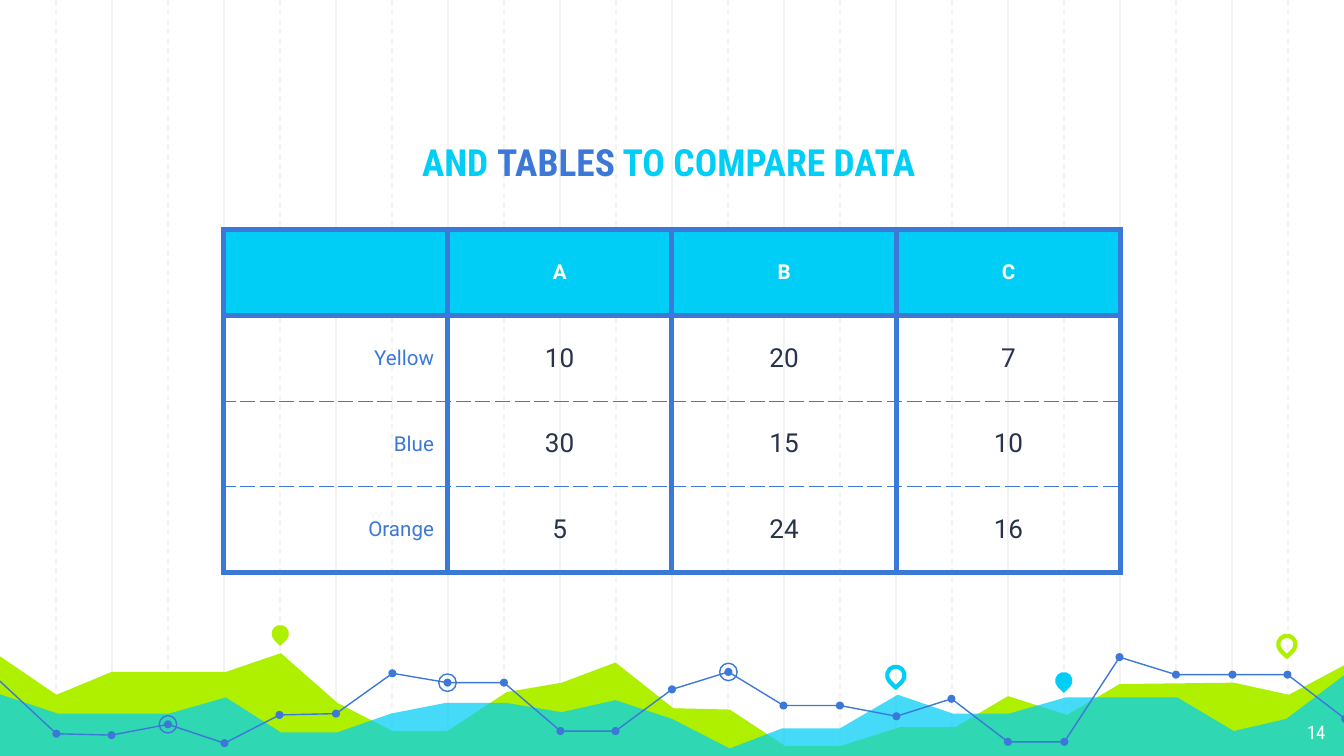
from typing import NamedTuple, Optional

from pptx import Presentation
from pptx import util as u
from pptx.dml.color import RGBColor
from pptx.enum import dml, shapes, text
from pptx.oxml import ns, xmlchemy

CYAN, BLUE, LIME = "00CEF6", "3C78D8", "AFF000"
WHITE, NAVY, GRAY = "FFFFFF", "28324A", "F3F3F3"
CENTER, RIGHT = text.PP_ALIGN.CENTER, text.PP_ALIGN.RIGHT

Point = tuple[float, float]


class Span(NamedTuple):
    wording: str
    color: str


class Style(NamedTuple):
    font: str
    size: float
    bold: bool = False


class Area(NamedTuple):
    points: list[Point]
    color: str
    opacity: Optional[int] = None


class Pin(NamedTuple):
    left: float
    top: float
    color: str
    hollow: bool


LIME_AREA = Area([
    (-0.02, 4.87), (0.42, 5.17), (0.83, 5), (1.68, 5), (2.09, 4.86), (2.51, 5.23),
    (2.92, 5.44), (3.33, 5.44), (3.77, 5.15), (4.18, 5.08), (4.58, 4.93), (5.01, 5.27),
    (5.43, 5.28), (5.84, 5.55), (6.26, 5.55), (6.7, 5.41), (7.11, 5.41), (7.5, 5.18),
    (7.94, 5.32), (8.33, 5.09), (9.18, 5.08), (9.59, 5.17), (10.02, 4.94),
    (10.01, 5.64), (-0.03, 5.64)], LIME)
CYAN_AREA = Area([
    (-0.02, 5.16), (0.43, 5.31), (1.26, 5.31), (1.68, 5.19), (2.09, 5.45), (2.51, 5.45),
    (2.91, 5.31), (3.32, 5.23), (3.76, 5.23), (4.18, 5.3), (4.58, 5.21), (5, 5.35),
    (5.43, 5.57), (5.82, 5.42), (6.25, 5.42), (6.68, 5.17), (7.09, 5.31), (7.51, 5.31),
    (7.93, 5.19), (8.76, 5.19), (9.18, 5.44), (9.57, 5.35), (10.02, 5.01),
    (10.02, 5.65), (-0.03, 5.65)], CYAN, 73)
TREND = [
    (-0.01, 5.06), (0.42, 5.46), (0.83, 5.47), (1.25, 5.39), (1.67, 5.53), (2.08, 5.32),
    (2.5, 5.31), (2.92, 5.01), (3.33, 5.08), (3.75, 5.08), (4.17, 5.44), (4.58, 5.44),
    (5, 5.13), (5.42, 5), (5.83, 5.25), (6.25, 5.25), (6.67, 5.33), (7.08, 5.2),
    (7.5, 5.52), (7.92, 5.52), (8.33, 4.89), (8.75, 5.02), (9.17, 5.02), (9.58, 5.02),
    (10.01, 5.35)]
TREND_BREAKS = [0, 11, 20, 24]
HIGHLIGHTS = [3, 8, 13]
PINS = [Pin(2.02, 4.65, LIME, False), Pin(6.6, 4.96, CYAN, True),
        Pin(7.85, 5, CYAN, False), Pin(9.51, 4.73, LIME, True)]
ROWS = [["", "A", "B", "C"], ["Yellow", "10", "20", "7"],
        ["Blue", "30", "15", "10"], ["Orange", "5", "24", "16"]]


def rgb(color: str) -> RGBColor:
    return RGBColor.from_string(color)


def paint(shape, fill: Optional[str] = None, line: Optional[str] = None,
          width: float = 0.75) -> None:
    shape.shadow.inherit = False
    if fill:
        shape.fill.solid()
        shape.fill.fore_color.rgb = rgb(fill)
    else:
        shape.fill.background()
    if line:
        shape.line.color.rgb = rgb(line)
        shape.line.width = u.Pt(width)
    else:
        shape.line.fill.background()


def add_grid_line(page, x: float, dashed: bool) -> None:
    line = page.shapes.add_connector(shapes.MSO_CONNECTOR.STRAIGHT, u.Inches(x), 0,
                                     u.Inches(x), u.Inches(5.65))
    line.line.color.rgb = rgb(GRAY)
    line.line.width = u.Pt(0.75)
    if dashed:
        line.line.dash_style = dml.MSO_LINE.DASH
    line._element.spPr.append(xmlchemy.OxmlElement("a:effectLst"))


def add_outline(page, points: list[Point], close: bool):
    corners = [(u.Inches(x), u.Inches(y)) for x, y in points]
    builder = page.shapes.build_freeform(*corners[0])
    builder.add_line_segments(corners[1:], close=close)
    return builder.convert_to_shape()


def add_area(page, area: Area) -> None:
    shape = add_outline(page, area.points, True)
    paint(shape, fill=area.color)
    if area.opacity:
        alpha = xmlchemy.OxmlElement("a:alpha")
        alpha.set("val", str(area.opacity * 1000))
        shape._element.spPr.find(".//" + ns.qn("a:srgbClr")).append(alpha)


def add_circle(page, center: Point, size: float, fill: Optional[str] = None,
               line: Optional[str] = None) -> None:
    x, y = center
    circle = page.shapes.add_shape(shapes.MSO_SHAPE.OVAL, u.Inches(x - size / 2),
                                   u.Inches(y - size / 2), u.Inches(size), u.Inches(size))
    paint(circle, fill, line)


def add_pin(page, pin: Pin) -> None:
    shape = page.shapes.add_shape(shapes.MSO_SHAPE.TEAR, u.Inches(pin.left),
                                  u.Inches(pin.top), u.Inches(0.13), u.Inches(0.13))
    shape.rotation = 135
    if pin.hollow:
        paint(shape, line=pin.color, width=2.25)
    else:
        paint(shape, fill=pin.color)


def write(para, spans: list[Span], style: Style, align) -> None:
    para.alignment = align
    for part in spans:
        span = para.add_run()
        span.text = part.wording
        span.font.name, span.font.size = style.font, u.Pt(style.size)
        span.font.bold = style.bold
        span.font.color.rgb = rgb(part.color)


def add_text(page, place: tuple[float, float, float, float], spans: list[Span],
             style: Style, align, anchor) -> None:
    box = page.shapes.add_textbox(*(u.Inches(length) for length in place))
    frame = box.text_frame
    frame.word_wrap = True
    frame.vertical_anchor = anchor
    frame.margin_left = frame.margin_right = u.Inches(0.1)
    frame.margin_top = frame.margin_bottom = u.Inches(0.1)
    write(frame.paragraphs[0], spans, style, align)


def set_border(cell, side: str, dashed: bool) -> None:
    border = xmlchemy.OxmlElement(f"a:ln{side}")
    border.set("w", str(u.Pt(0.75 if dashed else 3)))
    border.set("cap", "flat")
    border.set("cmpd", "sng")
    fill = xmlchemy.OxmlElement("a:solidFill")
    color = xmlchemy.OxmlElement("a:srgbClr")
    color.set("val", BLUE)
    fill.append(color)
    dash = xmlchemy.OxmlElement("a:prstDash")
    dash.set("val", "dash" if dashed else "solid")
    border.extend([fill, dash, xmlchemy.OxmlElement("a:round")])
    cell._tc.get_or_add_tcPr().append(border)


def fill_cell(cell, wording: str, row: int, column: int) -> None:
    cell.vertical_anchor = text.MSO_ANCHOR.MIDDLE
    cell.margin_left = cell.margin_right = u.Inches(0.1)
    cell.margin_top = cell.margin_bottom = u.Inches(0.07)
    for side in "LRTB":
        set_border(cell, side, (side == "T" and row > 1) or (side == "B" and row in (1, 2)))
    if row == 0:
        cell.fill.solid()
        cell.fill.fore_color.rgb = rgb(CYAN)
        color, style, align = WHITE, Style("Roboto", 11, True), CENTER
    else:
        cell.fill.background()
        if column == 0:
            color, style, align = BLUE, Style("Roboto", 11), RIGHT
        else:
            color, style, align = NAVY, Style("Roboto", 14), CENTER
    if wording:
        write(cell.text_frame.paragraphs[0], [Span(wording, color)], style, align)


def add_data_table(page) -> None:
    table = page.shapes.add_table(4, 4, u.Inches(1.66), u.Inches(1.71),
                                  u.Inches(6.68), u.Inches(2.55)).table
    table.first_row = table.horz_banding = False
    for row, wordings in enumerate(ROWS):
        for column, wording in enumerate(wordings):
            fill_cell(table.cell(row, column), wording, row, column)


def main() -> None:
    deck = Presentation()
    # Widescreen format, 16 to 9
    deck.slide_width = u.Inches(10)
    deck.slide_height = u.Inches(10 * 9 / 16)
    page = deck.slides.add_slide(deck.slide_layouts[6])

    # Background grid: solid and dashed lines alternate
    for step in range(1, 24):
        add_grid_line(page, step * 10 / 24, dashed=step % 2 == 1)

    # Landscape of areas, pins and trend line
    add_area(page, LIME_AREA)
    add_area(page, CYAN_AREA)
    for start, end in zip(TREND_BREAKS, TREND_BREAKS[1:]):
        paint(add_outline(page, TREND[start:end + 1], False), line=BLUE)
    for point in TREND[1:]:
        add_circle(page, point, 0.06, fill=BLUE)
    for index in HIGHLIGHTS:
        add_circle(page, TREND[index], 0.13, line=BLUE)
    for pin in PINS:
        add_pin(page, pin)

    # Title, table and page number
    add_text(page, (1.15, 0.69, 7.65, 0.78),
             [Span("AND ", CYAN), Span("TABLES", BLUE), Span(" TO COMPARE DATA", CYAN)],
             Style("Roboto Condensed", 20, True), CENTER, text.MSO_ANCHOR.BOTTOM)
    add_data_table(page)
    add_text(page, (9.36, 5.28, 0.6, 0.35), [Span("14", WHITE)],
             Style("Roboto Condensed", 10), RIGHT, text.MSO_ANCHOR.TOP)

    deck.save("out.pptx")


if __name__ == "__main__":
    main()
